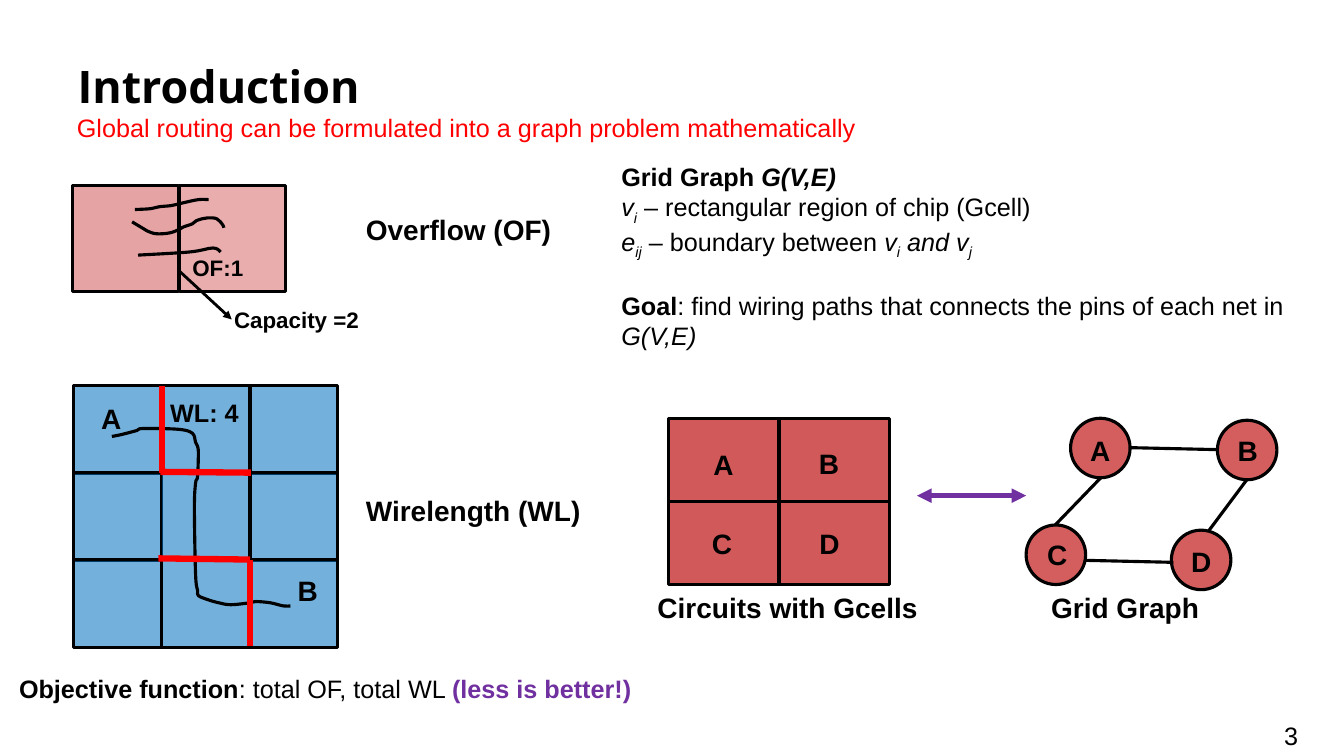
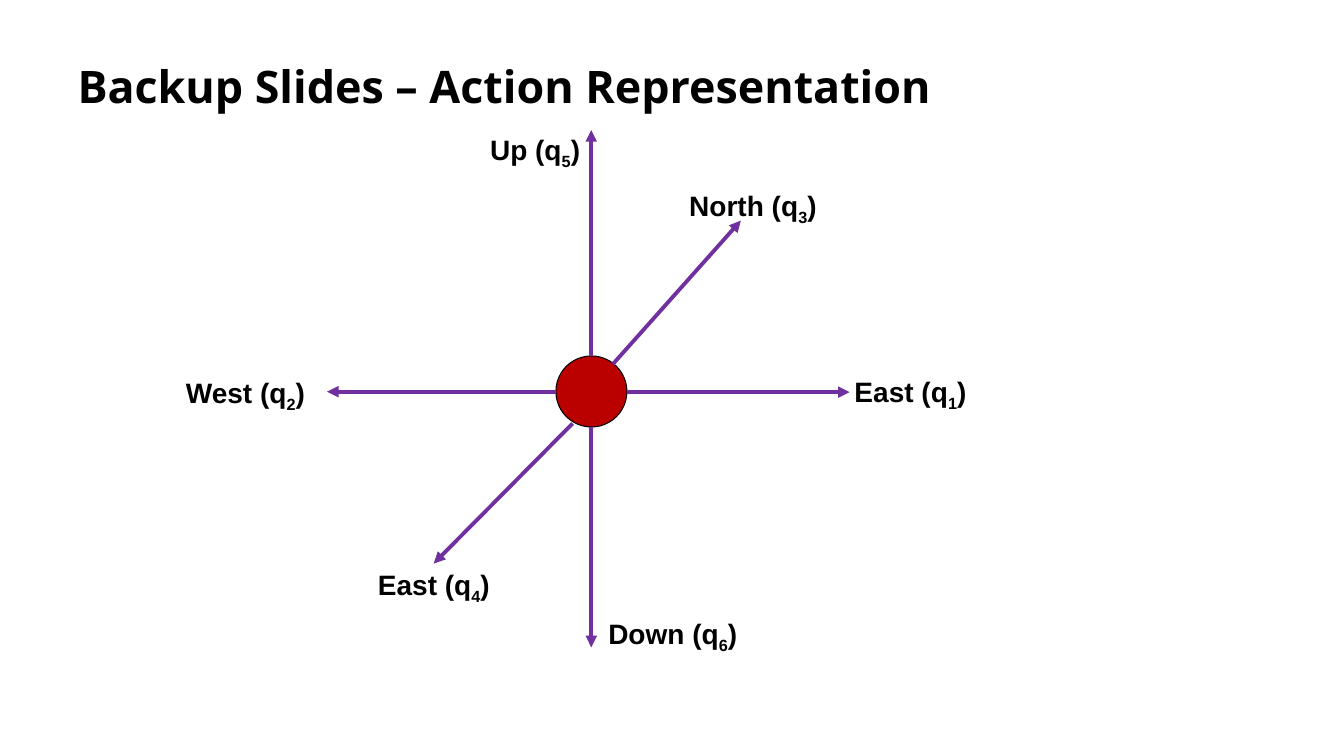
from dataclasses import dataclass
from itertools import product

from lxml import etree
from pptx import Presentation
from pptx import util as u
from pptx.dml.color import RGBColor
from pptx.enum import shapes, text
from pptx.oxml.ns import qn

BLACK, RED, CRIMSON = "000000", "FF0000", "BB0000"
BLUE, PURPLE = "0070C0", "7030A0"
BODY_FONT, TITLE_FONT = "Arial", "Open Sans"
RECT, OVAL = shapes.MSO_SHAPE.RECTANGLE, shapes.MSO_SHAPE.OVAL
Point = tuple[float, float]


@dataclass
class Span:
    words: str
    bold: bool = False
    italic: bool = False
    sub: bool = False
    color: str = BLACK


@dataclass
class Label:
    """A one-line caption; left, top and width in centimetres."""
    left: float
    top: float
    width: float
    spans: list[Span]
    size: int = 20
    centered: bool = False


@dataclass
class Link:
    """A straight line between two points in centimetres."""
    start: Point
    end: Point
    width: float = 2.25
    color: str = BLACK
    arrows: tuple[str, ...] = ()


def rgb(code: str) -> RGBColor:
    return RGBColor.from_string(code)


def bold(words: str) -> list[Span]:
    return [Span(words, bold=True)]


# Text
def write(para, spans: list[Span], size: int, font: str = BODY_FONT) -> None:
    for item in spans:
        span = para.add_run()
        span.text = item.words
        span.font.name, span.font.size = font, u.Pt(size)
        span.font.bold, span.font.italic = item.bold, item.italic
        span.font.color.rgb = rgb(item.color)
        if item.sub:
            span.font._element.set("baseline", "-25000")


def add_title(page, words: str) -> None:
    title = page.shapes.title
    title.left, title.top = u.Cm(1.7), u.Cm(1.35)
    title.width, title.height = u.Cm(30.48), u.Cm(2.26)
    frame = title.text_frame
    frame.auto_size = text.MSO_AUTO_SIZE.NONE
    frame.vertical_anchor = text.MSO_ANCHOR.TOP
    frame.paragraphs[0].alignment = text.PP_ALIGN.LEFT
    write(frame.paragraphs[0], bold(words), 32, TITLE_FONT)


def add_box(page, left: float, top: float, width: float, height: float, wrap: bool):
    box = page.shapes.add_textbox(u.Cm(left), u.Cm(top), u.Cm(width), u.Cm(height))
    frame = box.text_frame
    frame.word_wrap = wrap
    frame.auto_size = text.MSO_AUTO_SIZE.SHAPE_TO_FIT_TEXT
    return frame


def add_label(page, label: Label) -> None:
    height = round(label.size * 0.0423 + 0.25, 2)
    frame = add_box(page, label.left, label.top, label.width, height, label.centered)
    para = frame.paragraphs[0]
    if label.centered:
        para.alignment = text.PP_ALIGN.CENTER
    write(para, label.spans, label.size)


# Shapes and lines
def add_figure(page, kind, left: float, top: float, width: float, height: float,
               color: str, opacity: int = 100, outline: float = 2.25):
    shape = page.shapes.add_shape(kind, u.Cm(left), u.Cm(top), u.Cm(width), u.Cm(height))
    shape.shadow.inherit = False
    shape.fill.solid()
    shape.fill.fore_color.rgb = rgb(color)
    if opacity < 100:
        tone = shape._element.spPr.find(".//" + qn("a:srgbClr"))
        etree.SubElement(tone, qn("a:alpha"), val=str(opacity * 1000))
    shape.line.color.rgb = rgb(BLACK)
    shape.line.width = u.Pt(outline)
    return shape


def add_link(page, link: Link):
    ends = [u.Cm(value) for value in link.start + link.end]
    line = page.shapes.add_connector(shapes.MSO_CONNECTOR.STRAIGHT, *ends)
    line.line.color.rgb = rgb(link.color)
    line.line.width = u.Pt(link.width)
    for end in link.arrows:
        etree.SubElement(line.line._get_or_add_ln(), qn(f"a:{end}"), type="triangle")
    etree.SubElement(line._element.spPr, qn("a:effectLst"))
    return line


def curve_points(points: list[Point]) -> list[Point]:
    """Two control points and an end point for each stretch of a smooth curve."""
    padded = [points[0], *points, points[-1]]
    result = []
    for a, b, c, d in zip(padded, padded[1:], padded[2:], padded[3:]):
        result.append(tuple(q + (r - p) / 6 for p, q, r in zip(a, b, c)))
        result.append(tuple(r - (s - q) / 6 for q, r, s in zip(b, c, d)))
        result.append(c)
    return result


def add_wire(page, points: list[Point]) -> None:
    first, *rest = [(u.Cm(x), u.Cm(y)) for x, y in [points[0], *curve_points(points)]]
    builder = page.shapes.build_freeform(*first)
    builder.add_line_segments(rest, close=False)
    wire = builder.convert_to_shape()
    # Each three straight segments become one Bézier segment
    segments = wire._element.findall(".//" + qn("a:lnTo"))
    for index in range(0, len(segments), 3):
        bend = etree.Element(qn("a:cubicBezTo"))
        segments[index].addprevious(bend)
        for segment in segments[index:index + 3]:
            bend.append(segment[0])
            segment.getparent().remove(segment)
    wire.shadow.inherit = False
    wire.fill.background()
    wire.line.color.rgb = rgb(BLACK)
    wire.line.width = u.Pt(2.25)


# Introduction slide
OVERFLOW_WIRES = [
    [(3.33, 5.59), (3.58, 5.74), (3.71, 5.82), (3.94, 5.89), (4.27, 5.87),
     (4.5, 5.79), (4.62, 5.72), (4.85, 5.64), (4.95, 5.56), (5.11, 5.51),
     (5.23, 5.49), (5.46, 5.51), (5.61, 5.66), (5.64, 5.74)],
    [(3.48, 6.43), (4.78, 6.35), (5.37, 6.25), (5.56, 6.35)],
    [(3.4, 5.28), (3.78, 5.26), (4.01, 5.21), (4.32, 5.18), (4.62, 5.11),
     (5, 5.03), (5.26, 5.03)],
]
GRID_WIRE = [
    (2.82, 11), (3.07, 10.95), (3.45, 10.85), (3.61, 10.8), (4.5, 10.82),
    (4.85, 10.92), (4.93, 11.15), (4.98, 11.25), (5, 11.43), (4.98, 12.01),
    (4.93, 12.17), (4.9, 12.8), (4.93, 14.48), (4.98, 14.88), (5, 15.01),
    (5.23, 15.11), (5.51, 15.19), (5.82, 15.24), (6.3, 15.19), (6.45, 15.16),
    (6.81, 15.19), (7.14, 15.27), (7.32, 15.27)]
INTRO_LINKS = [
    Link((4.52, 6.83), (5.84, 8.05), 2, arrows=("tailEnd",)),
    # Crossed cell boundaries
    Link((4.09, 9.73), (4.09, 11.91), 4.5, RED),
    Link((6.3, 14.1), (6.3, 16.28), 4.5, RED),
    Link((6.32, 11.91), (4.04, 11.89), 4.5, RED),
    Link((6.3, 14.1), (3.99, 14.07), 4.5, RED),
    # Graph edges
    Link((28.47, 11.28), (30.68, 11.33)),
    Link((27.36, 14.12), (29.57, 14.17)),
    Link((26.59, 13.23), (27.74, 12.04)),
    Link((30.45, 13.39), (31.42, 12.09)),
    Link((23.11, 12.49), (25.86, 12.49), 3.5, PURPLE, ("headEnd", "tailEnd")),
]
GRAPH_NODES = [(26.98, 10.54), (30.68, 10.59), (25.86, 13.23), (29.52, 13.36)]
CELL_LETTERS = [(17.73, 11.15), (20.39, 11.13), (17.69, 13.13), (20.4, 13.13)]
NODE_LETTERS = [(27.22, 10.8), (30.94, 10.8), (26.14, 13.41), (29.77, 13.59)]
INTRO_LABELS = [
    Label(1.69, 2.7, 20.32, [Span(
        "Global routing can be formulated into a graph problem mathematically",
        color=RED)], 18),
    Label(8.97, 5.23, 5.21, bold("Overflow (OF)")),
    Label(5.65, 7.59, 3.71, bold("Capacity =2"), 16),
    Label(4.6, 6.27, 1.8, bold("OF:1"), 16),
    Label(8.97, 12.31, 5.97, bold("Wirelength (WL)")),
    Label(2.3, 10, 1.04, bold("A")),
    Label(7.25, 14.33, 1.04, bold("B")),
    Label(4.04, 9.88, 2.26, bold("WL: 4"), 18),
    Label(16.32, 14.76, 7.11, bold("Circuits with Gcells")),
    Label(26.24, 14.76, 4.27, bold("Grid Graph")),
    Label(0.23, 16.84, 16.1, [
        Span("Objective function", bold=True), Span(": total OF, total WL "),
        Span("(less is better!)", bold=True, color=PURPLE)], 18),
    Label(32.11, 18.03, 0.86, [Span("3")], 18),
]
GRAPH_TEXT = [
    [Span("Grid Graph ", bold=True), Span("G(V,E)", bold=True, italic=True)],
    [Span("v", italic=True), Span("i", italic=True, sub=True),
     Span(" – rectangular region of chip (Gcell)")],
    [Span("e", italic=True), Span("ij", italic=True, sub=True),
     Span(" – boundary between "), Span("v", italic=True),
     Span("i", italic=True, sub=True), Span(" and v", italic=True),
     Span("j", italic=True, sub=True)],
    [Span("Goal", bold=True),
     Span(": find wiring paths that connects the pins of each net in "),
     Span("G(V,E)", italic=True)],
]


def build_introduction(page) -> None:
    add_title(page, "Introduction")

    # Overflow cells and wirelength grid
    for column, opacity in enumerate((36, 32)):
        add_figure(page, RECT, 1.83 + 2.69 * column, 4.68, 2.67, 2.67, CRIMSON, opacity)
    for row, column in product(range(3), repeat=2):
        outline = 0.75 if row == column == 1 else 2.25
        add_figure(page, RECT, 1.86 + 2.22 * column, 9.72 + 2.19 * row, 2.21, 2.21,
                   BLUE, 55, outline)
    for points in [*OVERFLOW_WIRES, GRID_WIRE]:
        add_wire(page, points)

    # Circuit split into four cells
    circuit = add_figure(page, RECT, 16.84, 10.54, 5.58, 4.19, CRIMSON, 65)
    for begin, end in ((3, 1), (0, 2)):
        divider = add_link(page, Link((16.84, 10.54), (22.42, 14.73)))
        divider.begin_connect(circuit, begin)
        divider.end_connect(circuit, end)

    # Graph, links and captions
    for left, top in GRAPH_NODES:
        add_figure(page, OVAL, left, top, 1.5, 1.5, CRIMSON, 63)
    for link in INTRO_LINKS:
        add_link(page, link)
    for letter, (left, top) in zip("ABCD" * 2, CELL_LETTERS + NODE_LETTERS):
        add_label(page, Label(left, top, 1.04, bold(letter)))
    for label in INTRO_LABELS:
        add_label(page, label)

    # Graph definition and goal
    frame = add_box(page, 15.41, 3.94, 18.03, 5.64, True)
    for index, spans in enumerate(GRAPH_TEXT):
        para = frame.add_paragraph() if index else frame.paragraphs[0]
        write(para, spans, 18)
    frame.paragraphs[-1].space_before = u.Pt(21.5)


# Action slide
@dataclass
class Action:
    name: str
    number: int
    start: Point
    end: Point
    label_at: Point


ACTIONS = [
    Action("East", 1, (15.8, 9.88), (21.41, 9.88), (20.89, 9.32)),
    Action("West", 2, (14, 9.87), (8.24, 9.87), (4.13, 9.34)),
    Action("North", 3, (15.45, 9.17), (18.67, 5.56), (16.92, 4.62)),
    Action("East", 4, (14.43, 10.67), (10.93, 14.2), (8.88, 14.17)),
    Action("Up", 5, (14.9, 8.97), (14.9, 3.28), (11.43, 3.22)),
    Action("Down", 6, (14.9, 10.77), (14.9, 16.31), (14.9, 15.42)),
]


def build_actions(page) -> None:
    add_title(page, "Backup Slides – Action Representation")
    add_figure(page, OVAL, 14.01, 8.97, 1.79, 1.79, CRIMSON, outline=0.75)
    for action in ACTIONS:
        add_link(page, Link(action.start, action.end, 2.75, PURPLE, ("tailEnd",)))
    for action in ACTIONS:
        spans = [Span(f"{action.name} (q", bold=True),
                 Span(str(action.number), bold=True, sub=True), Span(")", bold=True)]
        add_label(page, Label(*action.label_at, 4.11, spans, centered=True))


def main() -> None:
    deck = Presentation()
    deck.slide_width, deck.slide_height = u.Cm(33.87), u.Cm(19.05)
    for build in (build_introduction, build_actions):
        build(deck.slides.add_slide(deck.slide_layouts[5]))
    deck.save("out.pptx")


if __name__ == "__main__":
    main()
